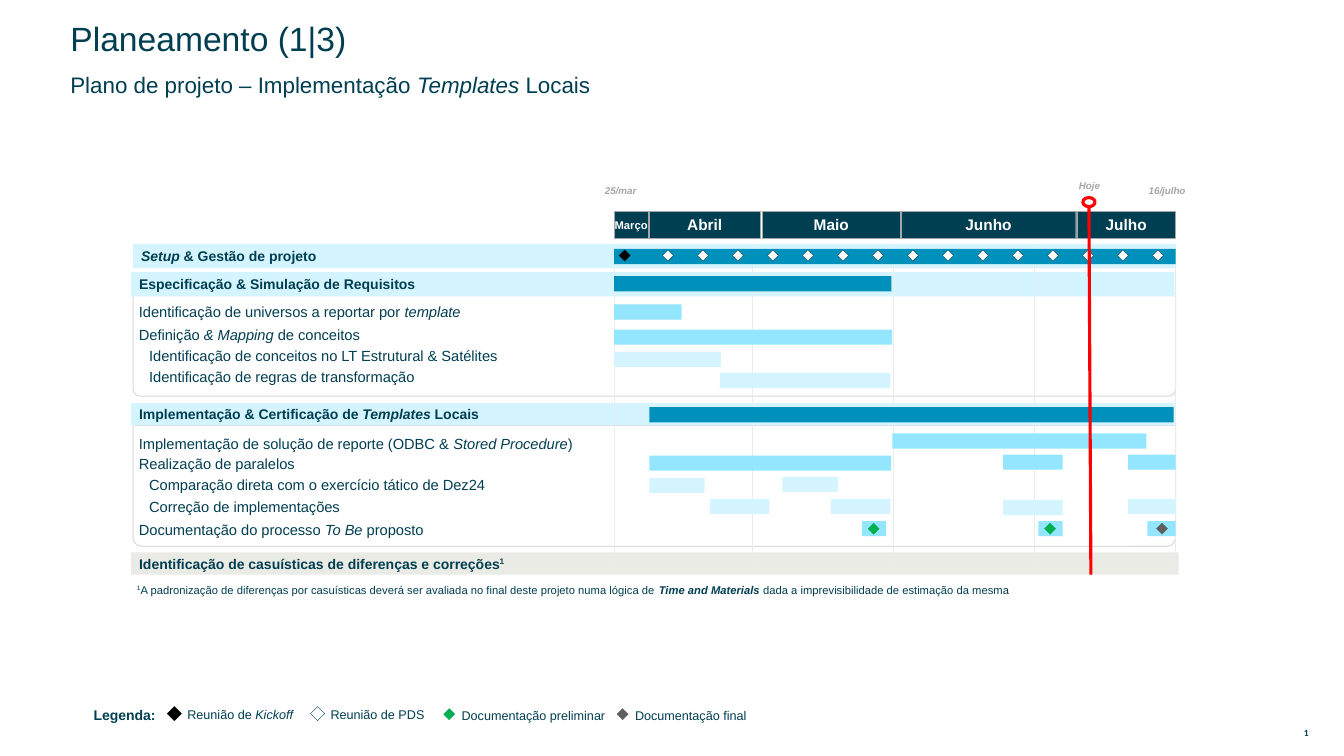
from lxml import etree
from pptx import Presentation
from pptx.dml.color import RGBColor
from pptx.enum.shapes import MSO_CONNECTOR, MSO_SHAPE
from pptx.enum.text import MSO_ANCHOR, PP_ALIGN
from pptx.oxml.ns import qn
from pptx.util import Emu, Pt

PX = 9144  # EMU per px, 100 px to the inch

COLORS = {
    "navy": "003E51", "blue": "0090BC", "sky": "94E6FF", "pale": "D4F5FF",
    "sand": "EBEBE6", "grid": "EBEBEB", "frame": "D9D9D9", "gray": "A6A6A6",
    "white": "FFFFFF", "black": "000000", "green": "00B050",
    "dark": "5F5F5F", "red": "FF0000",
}

# Content. Runs are (text, style): b bold, i italic, ^ superscript
TITLE = [("Planeamento (1|3)", "")]
SUBTITLE = [("Plano de projeto – Implementação ", ""), ("Templates", "i"), (" Locais", "")]
FOOTNOTE = [
    ("1", "^"),
    ("A padronização de diferenças por casuísticas deverá ser avaliada no final "
     "deste projeto numa lógica de ", ""),
    ("Time and Materials ", "bi"),
    ("dada a imprevisibilidade de estimação da mesma", ""),
]
PAGE_NUMBER = "4"

# name, left, width, size
MONTHS = [("Março", 609, 34, 8), ("Abril", 644, 110, 11), ("Maio", 756, 137, 11),
          ("Junho", 894, 173, 11), ("Julho", 1068, 98, 11)]
# text, left, top
DATES = [("25/mar", 580, 178), ("16/julho", 1122, 178), ("Hoje", 1045, 173)]

# runs, left, top, width, height, fill
BANDS = [
    ([("Setup", "bi"), (" & Gestão de projeto", "b")], 132, 242, 1034, 24, "pale"),
    ([("Especificação & Simulação de Requisitos", "b")], 130, 270, 1035, 24, "pale"),
    ([("Implementação & Certificação de ", "b"), ("Templates ", "bi"), ("Locais", "b")],
     130, 400, 1035, 22, "pale"),
    ([("Identificação de casuísticas de diferenças e correções", "b"), ("1", "b^")],
     130, 548, 1039, 22, "sand"),
]
FRAMES = [(291, 102), (422, 120)]  # top, height

# runs, top, height, left inset
TASKS = [
    ([("Identificação de universos a reportar por ", ""), ("template", "i")], 297, 24, 10),
    ([("Definição", ""), (" & Mapping", "i"), (" de conceitos", "")], 321, 22, 10),
    ([("Identificação de conceitos no LT Estrutural & Satélites", "")], 343, 20, 20),
    ([("Identificação de regras de transformação", "")], 363, 22, 20),
    ([("Implementação de solução de reporte (ODBC & ", ""), ("Stored Procedure", "i"),
      (")", "")], 427, 27, 10),
    ([("Realização de paralelos", "")], 449, 22, 10),
    ([("Comparação direta com o exercício tático de Dez24", "")], 471, 20, 20),
    ([("Correção de implementações", "")], 492, 22, 20),
    ([("Documentação do processo ", ""), ("To Be", "i"), (" proposto", "")], 515, 20, 10),
]

# fill, [(left, top, width)]
BARS = [
    ("blue", [(609, 247, 557), (609, 274, 275), (644, 404, 520)]),
    ("sky", [(609, 302, 67), (609, 327, 276), (885, 430, 252),
             (644, 452, 240), (995, 451, 59), (1119, 451, 47),
             (855, 517, 24), (1030, 517, 24), (1138, 517, 28)]),
    ("pale", [(609, 349, 106), (714, 370, 169), (644, 474, 55), (776, 473, 55),
              (704, 495, 59), (824, 495, 59), (995, 496, 59), (1119, 495, 47)]),
]
BAR_H = 15
GRID_X = [609, 746, 886, 1026, 1166]
GRID_TOP, GRID_BOTTOM = 242, 569

# Weekly meetings
MARK, MEETING_TOP, KICKOFF_X = 11, 248, 614
MEETING_FIRST, MEETING_LAST, MEETINGS = 657, 1143, 15
# left, top, fill
DELIVERIES = [(861, 519, "green"), (1036, 519, "green"), (1147, 519, "dark")]

# runs, text left, text top, text width, mark left, mark top, mark size, fill, line
LEGEND = [
    ([("Reunião de ", ""), ("Kickoff", "i")], 176, 695, 129, 166, 701, 14, "black", "black"),
    ([("Reunião de PDS", "")], 318, 695, 129, 308, 701, 14, "white", "navy"),
    ([("Documentação preliminar", "")], 448, 696, 169, 440, 703, 11, "green", "green"),
    ([("Documentação final", "")], 620, 696, 141, 612, 703, 11, "dark", "dark"),
]

prs = Presentation()
prs.slide_width, prs.slide_height = Emu(1333 * PX), Emu(750 * PX)
slide = prs.slides.add_slide(prs.slide_layouts[6])


def rgb(name):
    return RGBColor.from_string(COLORS[name])


def box(*lengths):
    return [Emu(round(n * PX)) for n in lengths]


def write(sp, runs, size, color="navy", font="Arial", insets=(10, 5, 10, 5),
          align=PP_ALIGN.LEFT, anchor=MSO_ANCHOR.MIDDLE, spacing=1.0, wrap=True):
    tf = sp.text_frame
    tf.word_wrap, tf.vertical_anchor = wrap, anchor
    tf.margin_left, tf.margin_top, tf.margin_right, tf.margin_bottom = box(*insets)
    p = tf.paragraphs[0]
    p.alignment, p.line_spacing = align, spacing
    for text, style in runs:
        r = p.add_run()
        r.text = text
        r.font.name, r.font.size = font, Pt(size)
        r.font.color.rgb = rgb(color)
        r.font.bold, r.font.italic = "b" in style, "i" in style
        if "^" in style:
            r.font._element.set("baseline", "30000")
    return sp


def text(runs, x, y, w, h, size, **options):
    return write(slide.shapes.add_textbox(*box(x, y, w, h)), runs, size, **options)


def shape(kind, x, y, w, h, fill=None, line=None, width=0.25):
    sp = slide.shapes.add_shape(kind, *box(x, y, w, h))
    sp.shadow.inherit = False
    if fill:
        sp.fill.solid()
        sp.fill.fore_color.rgb = rgb(fill)
    else:
        sp.fill.background()
    if line:
        sp.line.color.rgb = rgb(line)
        sp.line.width = Pt(width)
    else:
        sp.line.fill.background()
    return sp


def diamond(x, y, size, fill, line):
    shape(MSO_SHAPE.DIAMOND, x, y, size, size, fill, line)


def line(x1, y1, x2, y2, color, width):
    c = slide.shapes.add_connector(MSO_CONNECTOR.STRAIGHT, *box(x1, y1, x2, y2))
    c.line.color.rgb = rgb(color)
    c.line.width = Pt(width)
    etree.SubElement(c._element.spPr, qn("a:effectLst"))


# Headings and page number
text(TITLE, 60, 27, 795, 26, 24, spacing=0.9)
text(SUBTITLE, 60, 73, 766, 26, 16, spacing=0.9)
number = text([(PAGE_NUMBER, "b")], 1273, 719, 45, 16, 6.8, font="Calibri",
              insets=(6, 3, 6, 3), align=PP_ALIGN.CENTER)
field = number.text_frame.paragraphs[0].runs[0]._r
field.tag = qn("a:fld")
field.set("id", "{B6F15528-21DE-4FAA-801E-634DDDAF4B2B}")
field.set("type", "slidenum")

# Legend
text([("Legenda:", "b")], 83, 694, 83, 29, 10, anchor=MSO_ANCHOR.TOP, spacing=1.1)
for runs, x, y, w, mark_x, mark_y, size, fill, outline in LEGEND:
    diamond(mark_x, mark_y, size, fill, outline)
    text(runs, x, y, w, 27, 9, anchor=MSO_ANCHOR.TOP, spacing=1.1)

# Section frames, bands and tasks
for y, h in FRAMES:
    frame = shape(MSO_SHAPE.ROUND_2_SAME_RECTANGLE, 132, y, 1034, h, line="frame", width=0.75)
    frame.adjustments[0], frame.adjustments[1] = 0, 0.07
for runs, x, y, w, h, fill in BANDS:
    write(shape(MSO_SHAPE.RECTANGLE, x, y, w, h, fill), runs, 10, insets=(8, 0, 8, 0))
for runs, y, h, inset in TASKS:
    text(runs, 128, y, 494, h, 10.5, insets=(inset, 5, 10, 5))

# Month grid and bars
for x in GRID_X:
    line(x, GRID_TOP, x, GRID_BOTTOM, "grid", 0.25)
for fill, bars in BARS:
    for x, y, w in bars:
        shape(MSO_SHAPE.RECTANGLE, x, y, w, BAR_H, fill)

# Milestones
diamond(KICKOFF_X, MEETING_TOP, MARK, "black", "black")
step = (MEETING_LAST - MEETING_FIRST) / (MEETINGS - 1)
for i in range(MEETINGS):
    diamond(MEETING_FIRST + i * step, MEETING_TOP, MARK, "white", "navy")
for x, y, color in DELIVERIES:
    diamond(x, y, MARK, color, color)

# Month header, dates and footnote
for name, x, w, size in MONTHS:
    write(shape(MSO_SHAPE.RECTANGLE, x, 210, w, 26, "navy", "gray"), [(name, "b")], size,
          color="white", insets=(0, 5, 0, 5), align=PP_ALIGN.CENTER, wrap=False)
for date, x, y in DATES:
    text([(date, "bi")], x, y, 71, 22, 7, color="gray", insets=(0, 5, 0, 5),
         align=PP_ALIGN.CENTER, anchor=MSO_ANCHOR.TOP)
text(FOOTNOTE, 126, 572, 1081, 24, 8, anchor=MSO_ANCHOR.TOP, spacing=1.1)

# Today marker
line(1080, 200, 1082, 570, "red", 2.25)
shape(MSO_SHAPE.OVAL, 1074, 196, 12, 9, "white", "red", 2.25)

prs.save("out.pptx")
